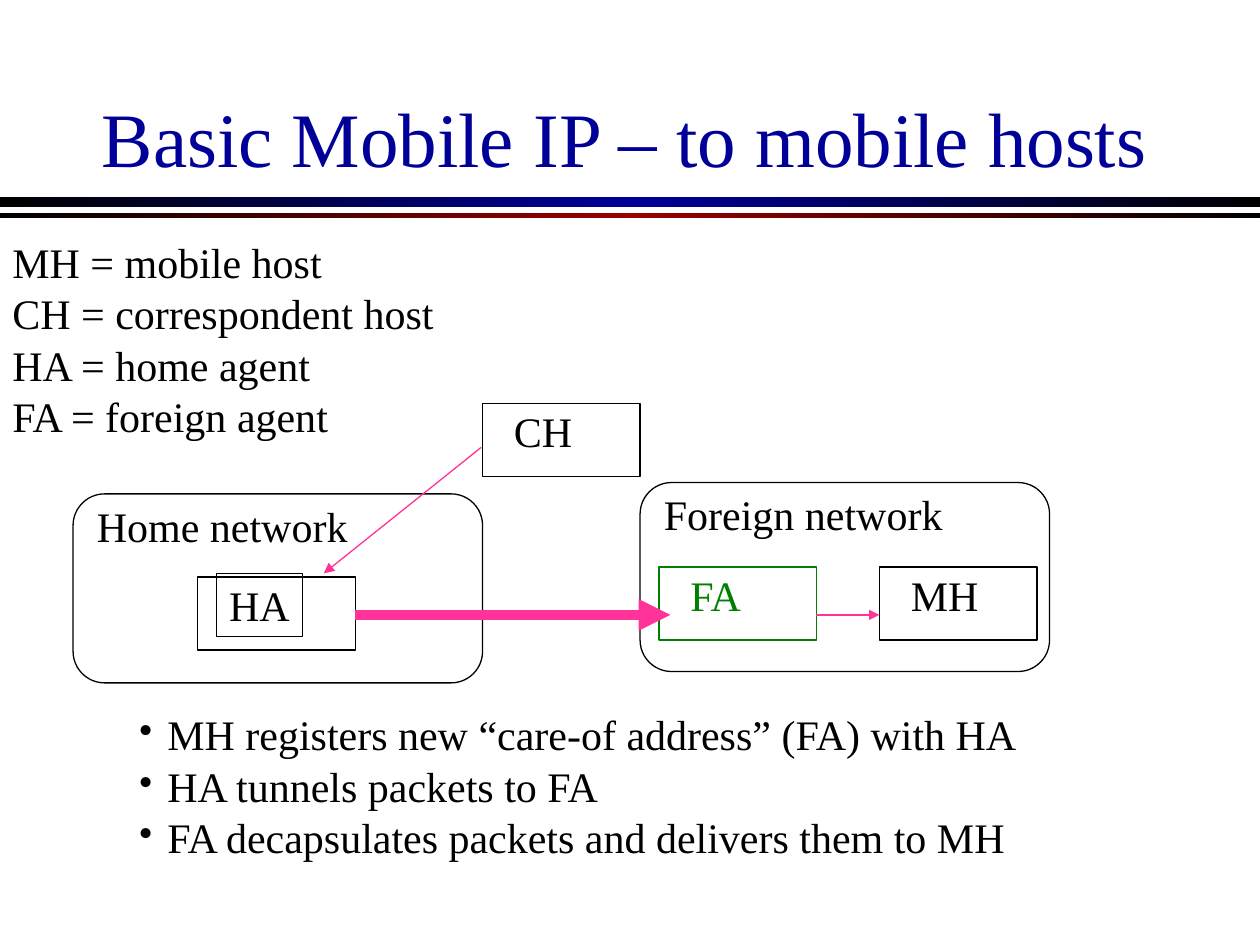
from copy import deepcopy

from pptx import Presentation
from pptx.dml.color import RGBColor
from pptx.enum.shapes import MSO_CONNECTOR, MSO_SHAPE
from pptx.enum.text import MSO_ANCHOR, MSO_AUTO_SIZE, PP_ALIGN
from pptx.oxml.ns import qn
from pptx.util import Inches, Pt

RECT = MSO_SHAPE.RECTANGLE
ROUNDED = MSO_SHAPE.FLOWCHART_ALTERNATE_PROCESS
STRAIGHT = MSO_CONNECTOR.STRAIGHT
BOTTOM = MSO_ANCHOR.BOTTOM
CENTER = PP_ALIGN.CENTER
GROW = MSO_AUTO_SIZE.SHAPE_TO_FIT_TEXT

FONT = "Times New Roman"
COLORS = {"black": "000000", "blue": "000099", "red": "990000",
          "green": "008000", "pink": "FF3399"}

# Content
TITLE = "Basic Mobile IP – to mobile hosts"
LEGEND = ["MH = mobile host", "CH = correspondent host",
          "HA = home agent", "FA = foreign agent"]
STEPS = ["MH registers new “care-of address” (FA) with HA",
         "HA tunnels packets to FA",
         "FA decapsulates packets and delivers them to MH"]
RULES = [(1.56, 0.08, "blue"), (1.69, 0.04, "red")]  # top, height, middle colour
# label, left, top, label left offset, label width
NETWORKS = [("Home network", 0.58, 3.92, 0.09, 2.19),
            ("Foreign network", 5.08, 3.83, 0.09, 2.41)]
# label, left, top, label width, colour, label has a frame
NODES = [("HA", 1.57, 4.58, 0.68, "black", True),
         ("CH", 3.83, 3.2, 0.66, "black", False),
         ("FA", 5.23, 4.5, 0.62, "green", False),
         ("MH", 6.98, 4.5, 0.75, "black", False)]
# start, end, line width
ARROWS = [((3.82, 3.55), (2.57, 4.55), 0.75),
          ((2.82, 4.88), (5.32, 4.88), 6),
          ((6.48, 4.88), (6.98, 4.88), 0.75)]
NETWORK_SIZE = (3.25, 1.5)
NODE_SIZE = (1.25, 0.58)
LABEL_HEIGHT = 0.5
LIST_FORMAT = {"line_spacing": 0.5, "space_before": Pt(15)}

prs = Presentation()
prs.slide_width, prs.slide_height = Inches(10), Inches(7.5)
s = prs.slides.add_slide(prs.slide_layouts[6])


def rgb(name):
    return RGBColor.from_string(COLORS[name])


def outline(sp, color, width=0.75):
    sp.line.color.rgb = rgb(color)
    sp.line.width = Pt(width)


def add_box(kind, x, y, w, h, color="black"):
    sp = s.shapes.add_shape(kind, *map(Inches, (x, y, w, h)))
    sp.shadow.inherit = False
    sp.fill.background()
    outline(sp, color)
    return sp


def add_text(lines, x, y, w, h, size=24, color="black", **formats):
    sp = s.shapes.add_textbox(*map(Inches, (x, y, w, h)))
    tf = sp.text_frame
    tf.word_wrap = True
    tf.text = "\n".join(lines)
    for p in tf.paragraphs:
        for name, value in formats.items():
            setattr(p, name, value)
        font = p.runs[0].font
        font.name, font.size = FONT, Pt(size)
        font.color.rgb = rgb(color)
    return sp


def add_label(text, x, y, w, color="black"):
    sp = add_text([text], x, y, w, LABEL_HEIGHT, color=color)
    sp.text_frame.word_wrap = False
    sp.text_frame.auto_size = GROW
    return sp


def add_rule(y, h, middle):
    sp = add_box(RECT, 0, y, 10, h)
    sp.line.fill.background()
    sp.fill.gradient()
    sp.fill.gradient_angle = 0
    stops = sp._element.spPr.find(qn("a:gradFill")).find(qn("a:gsLst"))
    stops.insert(1, deepcopy(stops[0]))
    for stop, position, color in zip(sp.fill.gradient_stops, (0, 0.5, 1),
                                     ("black", middle, "black")):
        stop.position = position
        stop.color.rgb = rgb(color)


def add_bullet(p, indent=0.23):
    pPr = p._p.get_or_add_pPr()
    pPr.set("marL", str(Inches(indent)))
    pPr.set("indent", str(-Inches(indent)))
    for tag, attributes in (("a:buFont", {"typeface": FONT}),
                            ("a:buChar", {"char": "•"})):
        pPr.append(pPr.makeelement(qn(tag), attributes))


def add_arrow(start, end, width):
    line = s.shapes.add_connector(STRAIGHT, *map(Inches, start + end))
    outline(line, "pink", width)
    ln = line.line._get_or_add_ln()
    ln.append(ln.makeelement(qn("a:tailEnd"), {"type": "triangle"}))
    spPr = line._element.spPr
    spPr.append(spPr.makeelement(qn("a:effectLst"), {}))


# Title and the two rules under it
for rule in RULES:
    add_rule(*rule)
title = add_text([TITLE], 0.67, 0.25, 8.58, 1.25, 44, "blue", alignment=CENTER)
title.text_frame.vertical_anchor = BOTTOM

# Abbreviations and steps
add_text(LEGEND, 0, 2, 3.83, 1.53, **LIST_FORMAT)
steps = add_text(STEPS, 1, 5.75, 7.67, 1.12, **LIST_FORMAT)
for p in steps.text_frame.paragraphs:
    add_bullet(p)

# Networks
for label, x, y, dx, w in NETWORKS:
    add_box(ROUNDED, x, y, *NETWORK_SIZE)
    add_label(label, x + dx, y, w)

# Hosts and agents
for label, x, y, w, color, framed in NODES:
    add_box(RECT, x, y, *NODE_SIZE, color)
    sp = add_label(label, x + 0.15, y - 0.03, w, color)
    if framed:
        outline(sp, color)

# Packet flow
for arrow in ARROWS:
    add_arrow(*arrow)

prs.save("out.pptx")
